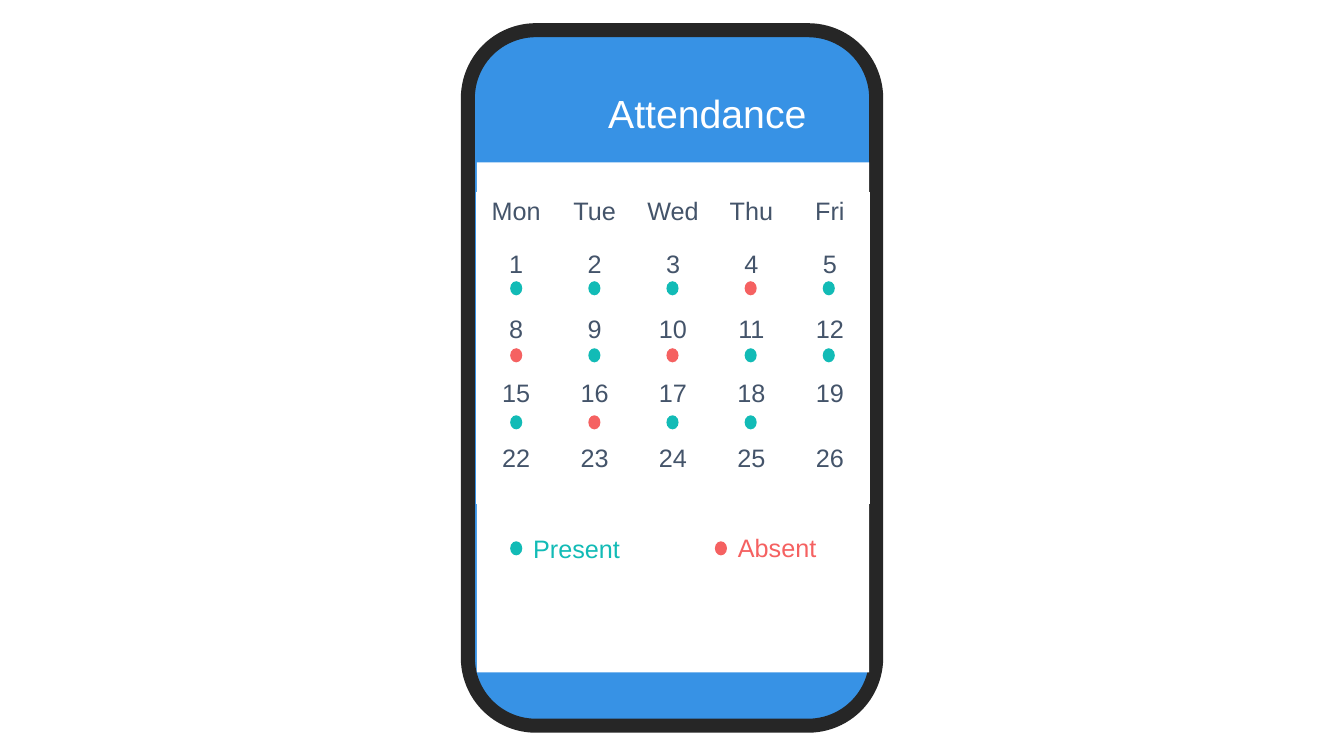
import dataclasses

import pptx
import pptx.dml.color
import pptx.enum.shapes
import pptx.enum.text
import pptx.oxml.ns
import pptx.util
from lxml import etree

Inches = pptx.util.Inches
Pt = pptx.util.Pt
ALIGN = pptx.enum.text.PP_ALIGN
SHAPE = pptx.enum.shapes.MSO_SHAPE

WHITE = "FFFFFF"
BLUE = "3792E5"
BEZEL = "262626"
SLATE = "44546A"
TEAL = "12BBB6"
RED = "F56161"

SCREEN_LEFT, SCREEN_WIDTH = 4.73, 3.89
WEEKDAYS = ["Mon", "Tue", "Wed", "Thu", "Fri"]
WEEK_COUNT = 4
ATTENDANCE = ["PPPAP", "APAPP", "PAPP"]
STATUS_COLOURS = {"P": TEAL, "A": RED}
DOT_LEFT, DOT_TOP = 5.06, 2.79
DOT_COLUMN_STEP, DOT_ROW_STEP = 0.775, 0.665


@dataclasses.dataclass
class Box:
    left: float
    top: float
    width: float
    height: float

    def lengths(self) -> list:
        return [Inches(n) for n in (self.left, self.top, self.width, self.height)]


@dataclasses.dataclass
class LegendEntry:
    label: str
    colour: str
    dot_left: float
    label_box: Box


LEGEND = [
    LegendEntry("Present", TEAL, 5.06, Box(5.19, 5.24, 1.07, 0.4)),
    LegendEntry("Absent", RED, 7.09, Box(7.22, 5.23, 0.99, 0.4)),
]


def rgb(colour: str):
    return pptx.dml.color.RGBColor.from_string(colour)


def write(frame, text: str, *, size=18, colour=SLATE, align=ALIGN.LEFT) -> None:
    frame.text = text
    paragraph = frame.paragraphs[0]
    paragraph.alignment = align
    font = paragraph.runs[0].font
    font.name = "Arial"
    font.size = Pt(size)
    font.bold = False
    font.color.rgb = rgb(colour)


def fit_to_text(frame) -> None:
    frame.word_wrap = False
    frame.auto_size = pptx.enum.text.MSO_AUTO_SIZE.SHAPE_TO_FIT_TEXT
    frame.vertical_anchor = pptx.enum.text.MSO_ANCHOR.TOP


def draw_shape(slide, kind, box: Box, fill: str):
    shape = slide.shapes.add_shape(kind, *box.lengths())
    shape.shadow.inherit = False
    shape.fill.solid()
    shape.fill.fore_color.rgb = rgb(fill)
    shape.line.fill.background()
    return shape


def draw_dot(slide, left: float, top: float, colour: str) -> None:
    draw_shape(slide, SHAPE.OVAL, Box(left, top, 0.12, 0.14), colour)


def draw_phone(slide) -> None:
    phone = draw_shape(slide, SHAPE.ROUNDED_RECTANGLE, Box(4.64, 0.3, 4.05, 6.9), BLUE)
    phone.line.color.rgb = rgb(BEZEL)
    phone.line.width = Pt(10)

    heading = slide.shapes.title
    heading.left, heading.top, heading.width, heading.height = Box(5.92, 0.84, 2.19, 0.57).lengths()
    write(heading.text_frame, "Attendance", size=28, colour=WHITE, align=ALIGN.CENTER)
    fit_to_text(heading.text_frame)
    phone.element.addnext(heading.element)


def border_cell(cell, bottom: float) -> None:
    properties = cell._tc.get_or_add_tcPr()
    edges = {"a:lnL": 1, "a:lnR": 1, "a:lnT": 1, "a:lnB": bottom}
    for position, (tag, width) in enumerate(edges.items()):
        line = etree.Element(pptx.oxml.ns.qn(tag), w=str(Pt(width)))
        fill = etree.SubElement(line, pptx.oxml.ns.qn("a:solidFill"))
        etree.SubElement(fill, pptx.oxml.ns.qn("a:srgbClr"), val=WHITE)
        properties.insert(position, line)


def draw_calendar(slide) -> None:
    day_count = len(WEEKDAYS)
    weeks = [[str(7 * week + day + 1) for day in range(day_count)] for week in range(WEEK_COUNT)]
    box = Box(SCREEN_LEFT, 1.91, SCREEN_WIDTH, 3.09)
    calendar = slide.shapes.add_table(WEEK_COUNT + 1, day_count, *box.lengths()).table
    calendar.first_row = False
    calendar.horz_banding = False
    for column in calendar.columns:
        column.width = Inches(SCREEN_WIDTH / day_count)
    for row_index, labels in enumerate([WEEKDAYS, *weeks]):
        is_header = row_index == 0
        calendar.rows[row_index].height = Inches(0.53 if is_header else 0.64)
        for column_index, label in enumerate(labels):
            cell = calendar.cell(row_index, column_index)
            write(cell.text_frame, label, align=ALIGN.CENTER)
            cell.fill.solid()
            cell.fill.fore_color.rgb = rgb(WHITE)
            border_cell(cell, bottom=3 if is_header else 1)


def draw_attendance(slide) -> None:
    for week, statuses in enumerate(ATTENDANCE):
        for day, status in enumerate(statuses):
            draw_dot(
                slide,
                DOT_LEFT + day * DOT_COLUMN_STEP,
                DOT_TOP + week * DOT_ROW_STEP,
                STATUS_COLOURS[status],
            )


def draw_legend(slide) -> None:
    for entry in LEGEND:
        draw_dot(slide, entry.dot_left, 5.37, entry.colour)
        label = slide.shapes.add_textbox(*entry.label_box.lengths())
        write(label.text_frame, entry.label, colour=entry.colour)
        fit_to_text(label.text_frame)


def main() -> None:
    deck = pptx.Presentation()
    deck.slide_width = Inches(13.33)
    deck.slide_height = Inches(7.5)
    slide = deck.slides.add_slide(deck.slide_layouts.get_by_name("Title Only"))
    draw_phone(slide)
    draw_calendar(slide)
    draw_shape(slide, SHAPE.RECTANGLE, Box(SCREEN_LEFT, 5, SCREEN_WIDTH, 1.67), WHITE)
    draw_attendance(slide)
    draw_legend(slide)
    draw_shape(slide, SHAPE.RECTANGLE, Box(SCREEN_LEFT, 1.61, SCREEN_WIDTH, 0.32), WHITE)
    deck.save("out.pptx")


if __name__ == "__main__":
    main()
